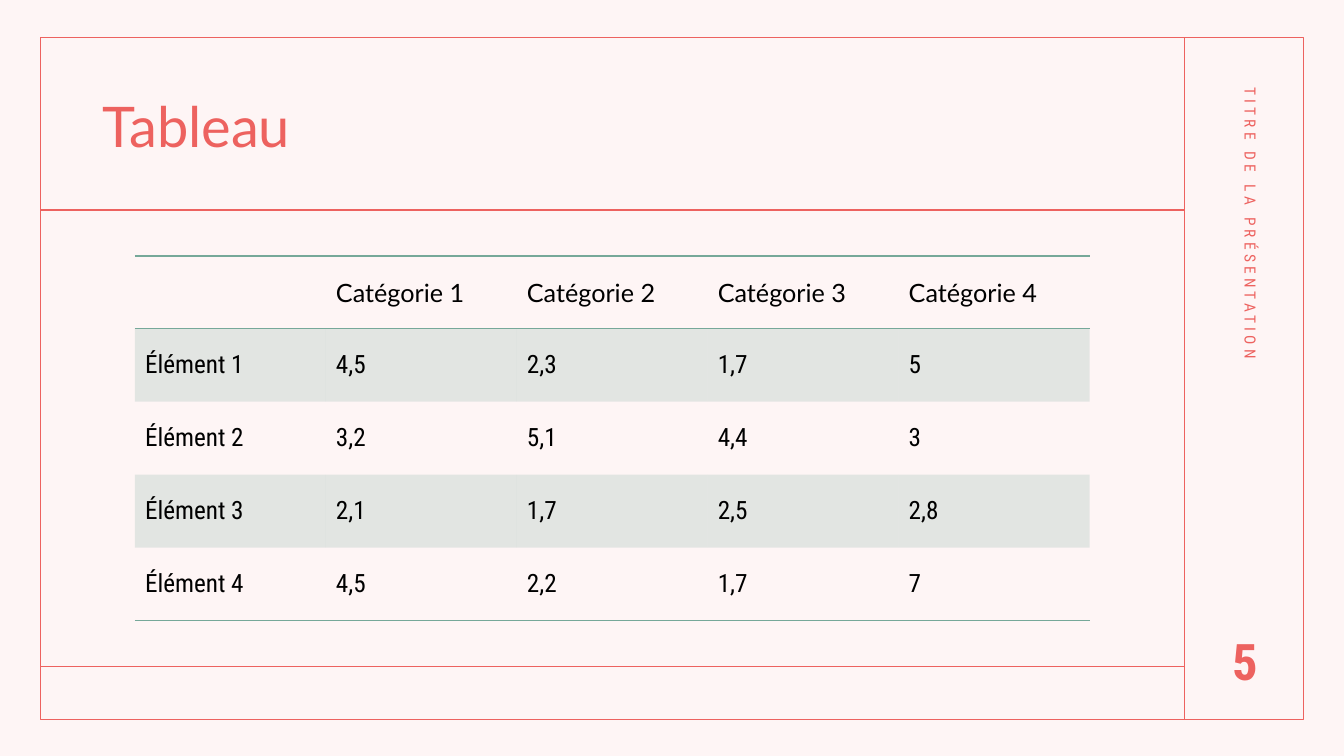
from lxml import etree
from pptx import Presentation
from pptx.dml.color import RGBColor
from pptx.enum.shapes import MSO_CONNECTOR, MSO_SHAPE
from pptx.enum.text import MSO_ANCHOR, PP_ALIGN
from pptx.oxml.ns import qn
from pptx.util import Pt

STRAIGHT = MSO_CONNECTOR.STRAIGHT
RECTANGLE = MSO_SHAPE.RECTANGLE
MIDDLE, TOP = MSO_ANCHOR.MIDDLE, MSO_ANCHOR.TOP
CENTER, LEFT = PP_ALIGN.CENTER, PP_ALIGN.LEFT

CORAL, GREEN, BLACK, BLUSH = "ED625F", "76A899", "000000", "FEF5F5"
HEADING_FONT, BODY_FONT = "Lato", "Roboto Condensed"
NO_TABLE_STYLE = "{2D5ABB26-0587-4C30-8999-92F81FD0307C}"


def color(hex_string):
    return RGBColor.from_string(hex_string)


def write(frame, text, font, size, hex_string, align=LEFT):
    frame.text = text
    para = frame.paragraphs[0]
    para.alignment = align
    for span in para.runs:
        span.font.name = font
        span.font.size = Pt(size)
        span.font.color.rgb = color(hex_string)
    return para


deck = Presentation()
deck.slide_width, deck.slide_height = Pt(960), Pt(540)
page = deck.slides.add_slide(deck.slide_layouts[6])
page.background.fill.solid()
page.background.fill.fore_color.rgb = color(BLUSH)

# Frame and dividers
left, top, right, bottom, sidebar = 28.8, 26.6, 931, 513.8, 846
outline = page.shapes.add_shape(
    RECTANGLE, Pt(left), Pt(top), Pt(right - left), Pt(bottom - top))
outline.shadow.inherit = False
outline.fill.background()
outline.line.color.rgb = color(CORAL)
outline.line.width = Pt(1)

dividers = [
    (sidebar, top, sidebar, bottom),
    (left, 150, sidebar, 150),
    (left, 476, sidebar, 476),
]
for ends in dividers:
    divider = page.shapes.add_connector(STRAIGHT, *[Pt(end) for end in ends])
    divider.line.color.rgb = color(CORAL)
    divider.line.width = Pt(1)
    etree.SubElement(divider._element.spPr, qn("a:effectLst"))

# Title, sidebar label and page number
labels = [
    ("Tableau", (66.2, 43.2, 750, 98), HEADING_FONT, 40, MIDDLE, LEFT),
    ("TITRE DE LA PRÉSENTATION", (727.2, 203, 324, 28.8), BODY_FONT, 11, TOP, LEFT),
    ("5", (851.8, 446.4, 75, 60), BODY_FONT, 36, TOP, CENTER),
]
boxes = []
for text, place, font, size, anchor, align in labels:
    box = page.shapes.add_textbox(*[Pt(length) for length in place])
    box.text_frame.word_wrap = True
    box.text_frame.vertical_anchor = anchor
    write(box.text_frame, text, font, size, CORAL, align)
    boxes.append(box)
title, sidebar_label, page_number = boxes
title.text_frame.paragraphs[0].line_spacing = 0.9
sidebar_label.rotation = 90
sidebar_label.text_frame.paragraphs[0].runs[0].font._element.set("spc", "300")
page_number.text_frame.paragraphs[0].runs[0].font.bold = True

# Table
rows = [
    ["", "Catégorie 1", "Catégorie 2", "Catégorie 3", "Catégorie 4"],
    ["Élément 1", "4,5", "2,3", "1,7", "5"],
    ["Élément 2", "3,2", "5,1", "4,4", "3"],
    ["Élément 3", "2,1", "1,7", "2,5", "2,8"],
    ["Élément 4", "4,5", "2,2", "1,7", "7"],
]
ruled_sides = {0: ["a:lnT", "a:lnB"], len(rows) - 1: ["a:lnB"]}
table_frame = page.shapes.add_table(
    len(rows), len(rows[0]), Pt(96.4), Pt(182.8), Pt(682), Pt(260.5))
table = table_frame.table
table._tbl.tblPr.find(qn("a:tableStyleId")).text = NO_TABLE_STYLE
for column in table.columns:
    column.width = Pt(136.4)

for row_index, values in enumerate(rows):
    table.rows[row_index].height = Pt(52.1)
    font = BODY_FONT if row_index else HEADING_FONT
    for column_index, value in enumerate(values):
        cell = table.cell(row_index, column_index)
        cell.vertical_anchor = MIDDLE
        write(cell.text_frame, value, font, 18, BLACK)
        properties = cell._tc.get_or_add_tcPr()
        for side in ruled_sides.get(row_index, []):
            rule = etree.SubElement(properties, qn(side), w=str(Pt(1)))
            solid = etree.SubElement(rule, qn("a:solidFill"))
            etree.SubElement(solid, qn("a:srgbClr"), val=GREEN)
        if row_index % 2:
            cell.fill.solid()
            cell.fill.fore_color.rgb = color(GREEN)
            tint = properties.find(qn("a:solidFill")).find(qn("a:srgbClr"))
            etree.SubElement(tint, qn("a:alpha"), val="20000")
        else:
            cell.fill.background()

deck.save("out.pptx")
